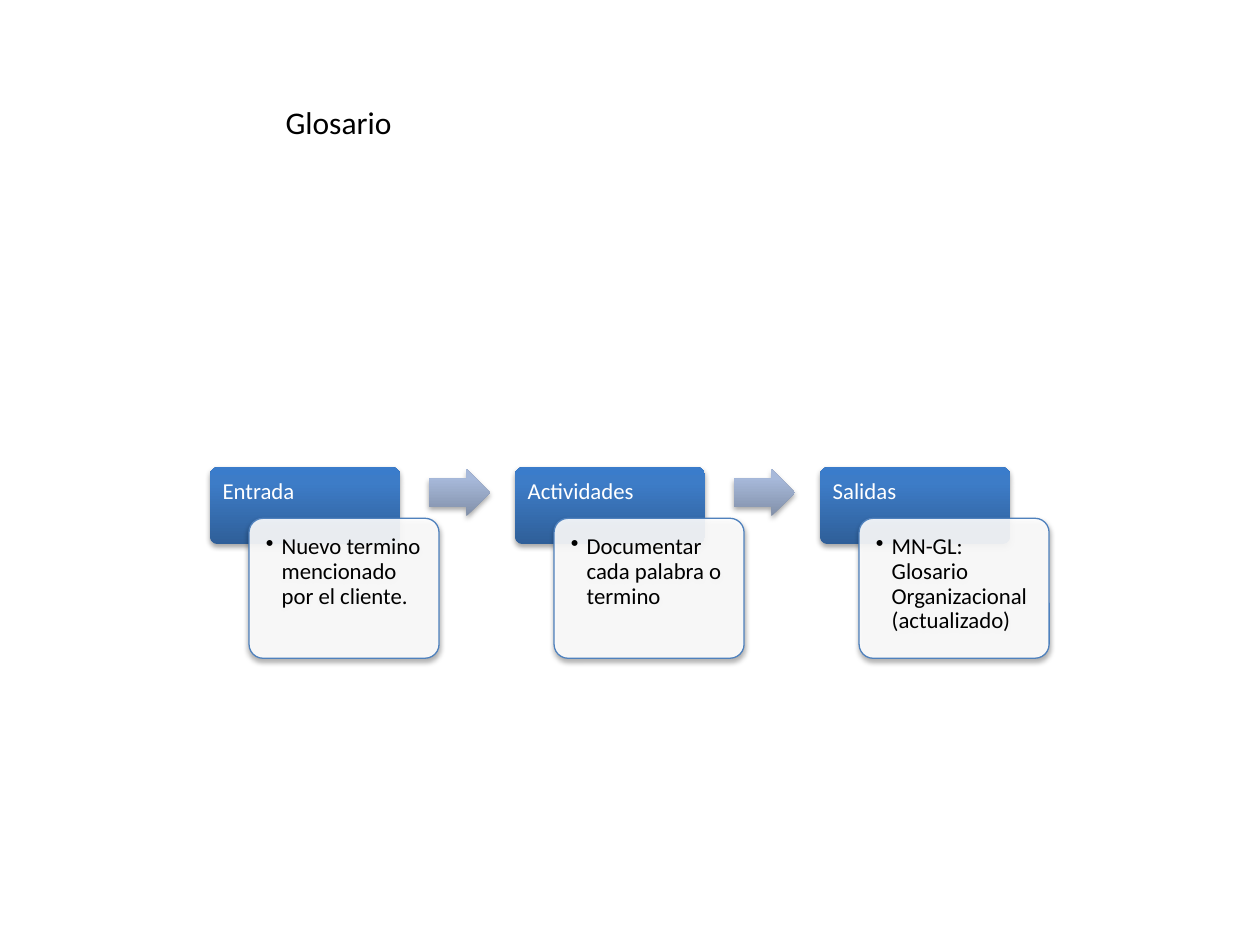
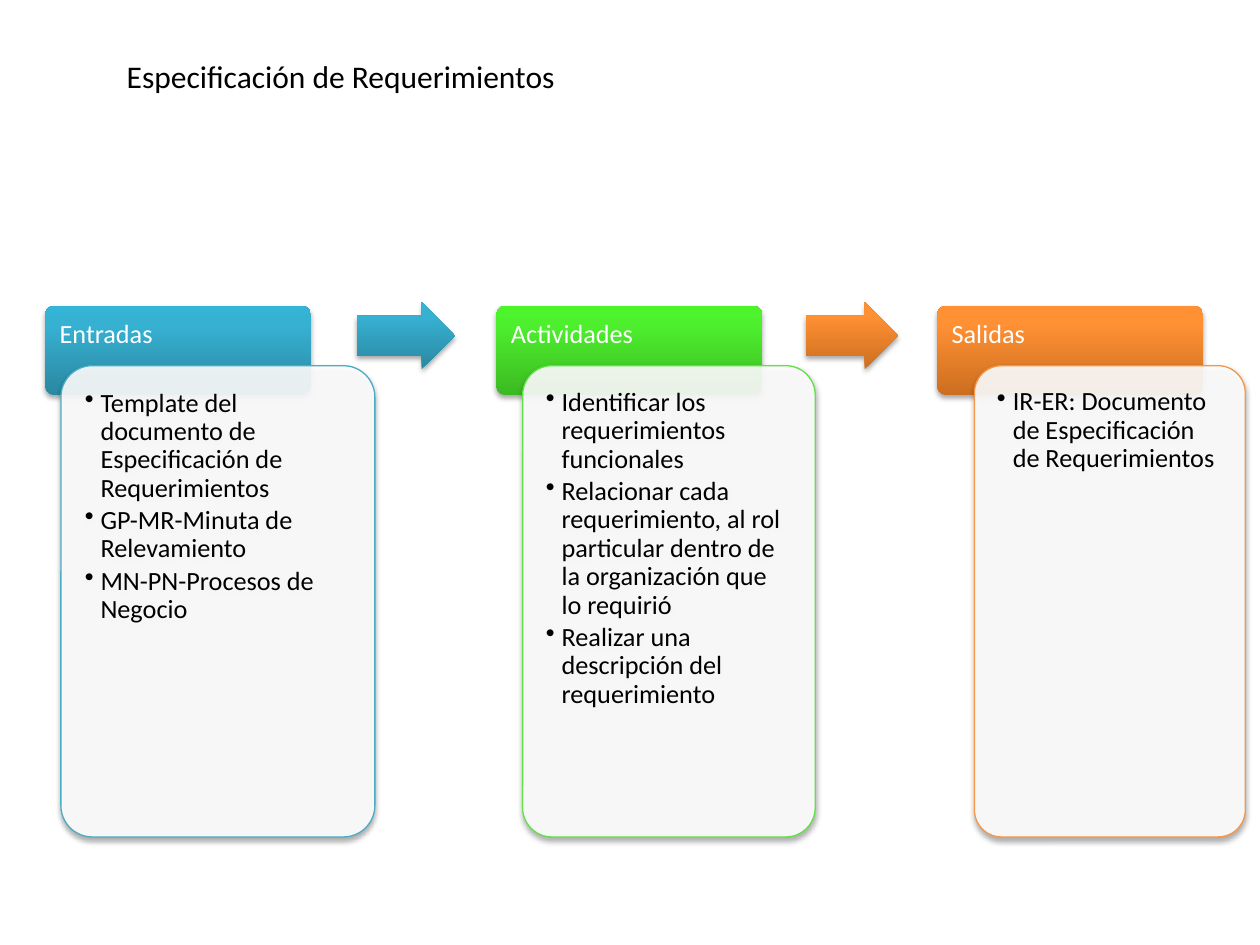
from collections import namedtuple
from copy import deepcopy

from lxml import etree
from pptx import Presentation
from pptx.dml.color import RGBColor
from pptx.enum import shapes, text
from pptx.oxml import ns
from pptx.util import Pt

FONT = "Calibri"
WHITE = RGBColor(0xFF, 0xFF, 0xFF)
BLACK = RGBColor(0, 0, 0)

Tone = namedtuple("Tone", "low mid high edge")
BLUE = Tone(RGBColor(0x2F, 0x5F, 0x99), RGBColor(0x3D, 0x7C, 0xC7),
            RGBColor(0x3A, 0x7C, 0xCB), RGBColor(0x4F, 0x81, 0xBD))
PALE = Tone(RGBColor(0x81, 0x8F, 0xA8), RGBColor(0xA7, 0xB9, 0xDA),
            RGBColor(0xA7, 0xBA, 0xDC), None)
TEAL = Tone(RGBColor(0x2A, 0x88, 0xA2), RGBColor(0x37, 0xB1, 0xD2),
            RGBColor(0x34, 0xB4, 0xD6), RGBColor(0x4B, 0xAC, 0xC6))
GREEN = Tone(RGBColor(0x3C, 0xB9, 0x23), RGBColor(0x4E, 0xF0, 0x2E),
             RGBColor(0x4C, 0xF5, 0x2A), RGBColor(0x60, 0xE1, 0x46))
AMBER = Tone(RGBColor(0xCC, 0x6E, 0x20), RGBColor(0xFF, 0x90, 0x34),
             RGBColor(0xFF, 0x91, 0x36), RGBColor(0xF7, 0x96, 0x46))

Box = namedtuple("Box", "left top width height")
Stage = namedtuple("Stage", "head card label items tone")


def add_node(parent, tag, **attrs):
    return etree.SubElement(parent, ns.qn(tag), {k: str(v) for k, v in attrs.items()})


def add_shade(shape):
    shape.shadow.inherit = False
    effects = shape._element.spPr.find(ns.qn("a:effectLst"))
    outer = add_node(effects, "a:outerShdw", blurRad=Pt(3.1), dist=Pt(1.8),
                     dir=5400000, rotWithShape=0)
    add_node(add_node(outer, "a:srgbClr", val=BLACK), "a:alpha", val=35000)


def add_form(slide, kind, box, *adjust):
    shape = slide.shapes.add_shape(kind, *map(Pt, box))
    for i, value in enumerate(adjust):
        shape.adjustments[i] = value
    add_shade(shape)
    return shape


def fill_tone(shape, tone):
    shape.line.fill.background()
    shape.fill.gradient()
    shape.fill.gradient_angle = 90
    stops = shape._element.spPr.find(".//" + ns.qn("a:gsLst"))
    stops.append(deepcopy(stops[-1]))
    colors = zip((0, 0.8, 1), (tone.low, tone.mid, tone.high))
    for stop, (place, color) in zip(shape.fill.gradient_stops, colors):
        stop.position = place
        stop.color.rgb = color


def set_text(shape, lines, size, color, pads=(7.2, 3.6, 7.2, 3.6)):
    frame = shape.text_frame
    frame.text = "\n".join(lines)
    frame.word_wrap = True
    frame.auto_size = text.MSO_AUTO_SIZE.NONE
    frame.vertical_anchor = text.MSO_ANCHOR.TOP
    frame.margin_left, frame.margin_top, frame.margin_right, frame.margin_bottom = map(Pt, pads)
    for para in frame.paragraphs:
        para.alignment = text.PP_ALIGN.LEFT
        para.font.name = FONT
        para.font.size = Pt(size)
        para.font.color.rgb = color
    return frame.paragraphs


def add_title(slide, box, words):
    title = slide.shapes.title
    title.left, title.top, title.width, title.height = map(Pt, box)
    set_text(title, [words], 18, BLACK)


def add_head(slide, box, words, tone, size, pad):
    head = add_form(slide, shapes.MSO_SHAPE.ROUNDED_RECTANGLE, box, 0.1)
    fill_tone(head, tone)
    inset = round(pad - 0.03 * box.height, 2)
    para, = set_text(head, [words], size, WHITE, (inset, inset, inset, 0))
    para.line_spacing = 0.9


def add_card(slide, box, items, edge, size, pad):
    card = add_form(slide, shapes.MSO_SHAPE.ROUNDED_RECTANGLE, box, 0.1)
    card.fill.solid()
    card.fill.fore_color.rgb = WHITE
    solid = card._element.spPr.find(ns.qn("a:solidFill"))
    add_node(solid[0], "a:alpha", val=90000)
    card.line.color.rgb = edge
    card.line.width = Pt(0.75)
    for para in set_text(card, items, size, BLACK, (pad,) * 4):
        para.line_spacing = 0.9
        para.space_after = Pt(2.2)
        props = para._p.get_or_add_pPr()
        props.set("marL", str(Pt(9)))
        props.set("indent", str(-Pt(9)))
        add_node(props, "a:buChar", char="•")
        fonts = props.find(ns.qn("a:defRPr"))
        if fonts is not None:
            props.append(fonts)


def add_arrow(slide, box, tone):
    arrow = add_form(slide, shapes.MSO_SHAPE.RIGHT_ARROW, box, 0.6, 0.5)
    fill_tone(arrow, tone)


def add_flow(deck, title, place, stages, arrows, size, pad):
    slide = deck.slides.add_slide(deck.slide_layouts[5])
    add_title(slide, place, title)
    for stage in stages:
        add_head(slide, stage.head, stage.label, stage.tone, size, pad)
        add_card(slide, stage.card, stage.items, stage.tone.edge, size, pad)
    for box, tone in arrows:
        add_arrow(slide, box, tone)


def add_terms(deck):
    left, top, step = 120, 267, 174.3
    parts = [
        ("Entrada", ["Nuevo termino mencionado por el cliente."]),
        ("Actividades", ["Documentar cada palabra o termino"]),
        ("Salidas", ["MN-GL: Glosario Organizacional (actualizado)"]),
    ]
    stages = [
        Stage(Box(left + i * step, top, 108.6, 44),
              Box(left + i * step + 22.3, top + 29.2, 108.6, 80), label, items, BLUE)
        for i, (label, items) in enumerate(parts)
    ]
    arrows = [(Box(left + i * step + 125.2, top + 1, 34.8, 27), PALE) for i in range(2)]
    add_flow(deck, "Glosario", Box(156, 55, 148, 51), stages, arrows, 13, 7.3)


def add_needs(deck):
    top = 174.8
    parts = [
        (25.8, 34.8, 179.4, "Entradas", TEAL,
         ["Template del documento de Especificación de Requerimientos",
          "GP-MR-Minuta de Relevamiento",
          "MN-PN-Procesos de Negocio"]),
        (283.6, 298.7, 167.2, "Actividades", GREEN,
         ["Identificar los requerimientos funcionales",
          "Relacionar cada requerimiento, al rol particular dentro de la organización que lo requirió",
          "Realizar una descripción del requerimiento"]),
        (535.5, 556.8, 154.8, "Salidas", AMBER,
         ["IR-ER: Documento de Especificación de Requerimientos"]),
    ]
    stages = [
        Stage(Box(left, top, 152, 51), Box(inner, top + 34.2, width, 269.3), label, items, tone)
        for left, inner, width, label, tone, items in parts
    ]
    arrows = [(Box(left, top - 2, width, 38.2), tone)
              for left, width, tone in ((203.8, 56.2, TEAL), (460.6, 52.6, AMBER))]
    add_flow(deck, "Especificación de Requerimientos", Box(65.2, 29, 306, 51),
             stages, arrows, 15, 8.4)


def main():
    deck = Presentation()
    deck.slide_width, deck.slide_height = Pt(720), Pt(540)
    add_terms(deck)
    add_needs(deck)
    deck.save("out.pptx")


if __name__ == "__main__":
    main()
